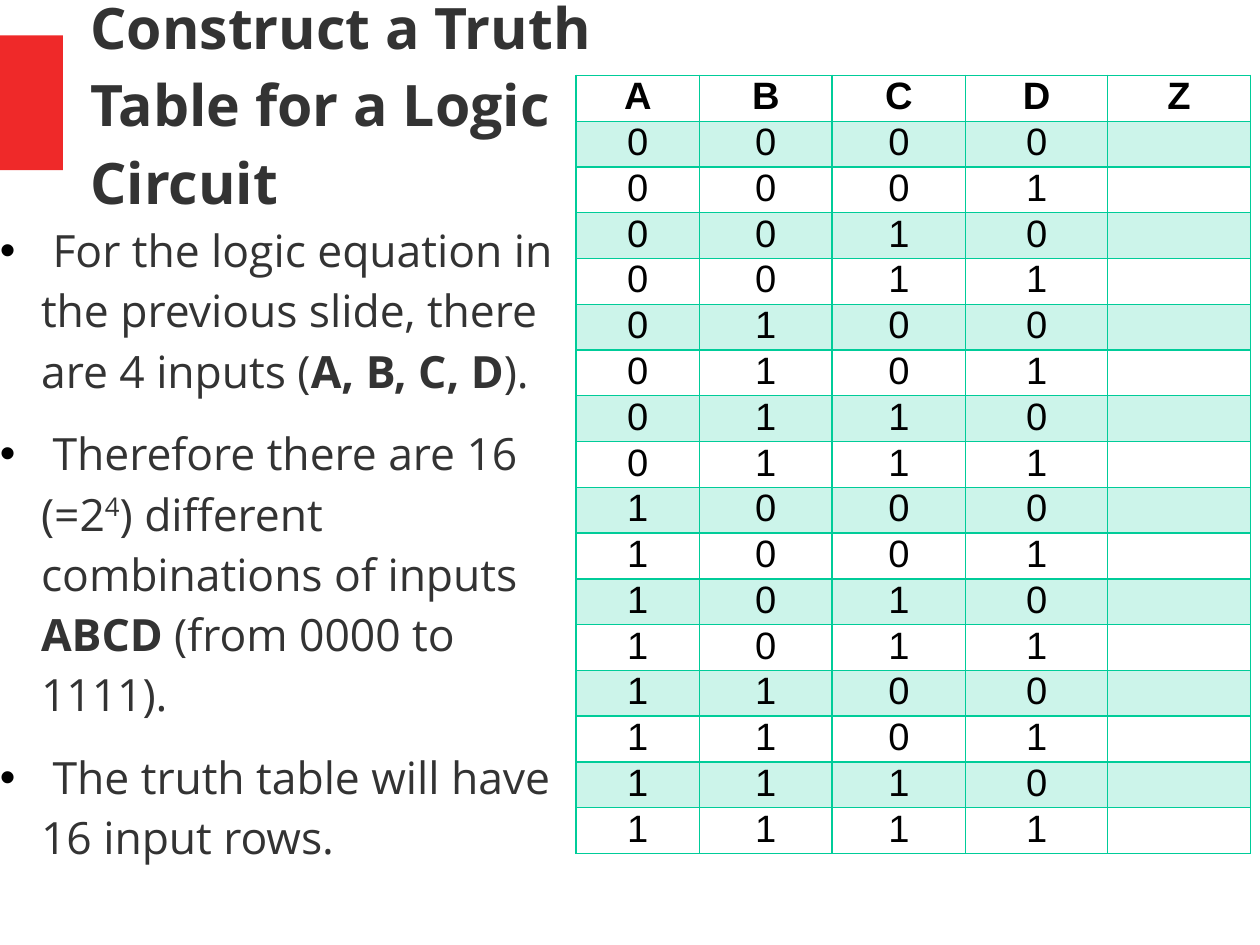
import itertools

import lxml.etree
import pptx
import pptx.dml.color
import pptx.enum.shapes
import pptx.enum.text
import pptx.oxml.ns
import pptx.util

Inches, Pt = pptx.util.Inches, pptx.util.Pt
qn = pptx.oxml.ns.qn

COLORS = {"accent": "EF2929", "text": "333333", "table_text": "000000",
          "bullet": "000000", "grid": "00CC99"}

TITLE = "Construct a Truth Table for a Logic Circuit"
# Each run is (words, style)
POINTS = [
    [(" For the logic equation in the previous slide, there are 4 inputs (", ""),
     ("A, B, C, D", "bold"), (").", "")],
    [(" Therefore there are 16 (=2", ""), ("4", "super"),
     (") different combinations of inputs ", ""), ("ABCD", "bold"),
     (" (from 0000 to 1111).", "")],
    [(" The truth table will have 16 input rows.", "")],
]
INPUTS = ["A", "B", "C", "D"]
OUTPUT = "Z"
TRUTH_ROWS = [INPUTS + [OUTPUT]] + [
    [*bits, ""] for bits in itertools.product("01", repeat=len(INPUTS))]

COLUMN_WIDTHS = [1.08, 1.16, 1.17, 1.24, 1.25]
ROW_HEIGHT = 0.39
TITLE_FONT = {"name": "Open Sans", "size": Pt(36), "bold": True}
POINT_FONT = {"name": "Open Sans", "size": Pt(28)}
CELL_FONT = {"name": "Arial", "size": Pt(24)}
NO_MARGINS = dict.fromkeys(
    ["margin_left", "margin_top", "margin_right", "margin_bottom"], 0)
CELL_MARGINS = {**NO_MARGINS, "margin_left": Inches(0.07), "margin_right": Inches(0.07)}
POINT_SPACING = {"line_spacing": 1.13, "space_after": Pt(14.1)}
CELL_SPACING = {"line_spacing": 1.0, "alignment": pptx.enum.text.PP_ALIGN.CENTER}


def apply(target, values):
    for name, value in values.items():
        setattr(target, name, value)


def rgb(color):
    return pptx.dml.color.RGBColor.from_string(COLORS[color])


def style_font(font, values, color):
    apply(font, values)
    font.color.rgb = rgb(color)


def add_text_frame(slide, left, top, width, height, anchor):
    box = slide.shapes.add_textbox(*map(Inches, (left, top, width, height)))
    apply(box.text_frame, {**NO_MARGINS, "word_wrap": True, "vertical_anchor": anchor})
    return box.text_frame


def add_bullet(paragraph):
    properties = paragraph._p.get_or_add_pPr()
    properties.set("marL", str(Inches(0.36)))
    properties.set("indent", str(-Inches(0.36)))
    bullet_color = lxml.etree.SubElement(properties, qn("a:buClr"))
    lxml.etree.SubElement(bullet_color, qn("a:srgbClr"), val=COLORS["bullet"])
    lxml.etree.SubElement(properties, qn("a:buFont"), typeface="Arial")
    lxml.etree.SubElement(properties, qn("a:buChar"), char="•")


def add_borders(cell):
    """Draw all four cell edges; they must precede the fill in the cell XML."""
    properties = cell._tc.get_or_add_tcPr()
    for position, edge in enumerate(["a:lnL", "a:lnR", "a:lnT", "a:lnB"]):
        line = lxml.etree.Element(qn(edge), w=str(Pt(1)))
        fill = lxml.etree.SubElement(line, qn("a:solidFill"))
        lxml.etree.SubElement(fill, qn("a:srgbClr"), val=COLORS["grid"])
        properties.insert(position, line)


def fill_band(cell):
    """Tint a cell with the grid colour at 20% opacity."""
    cell.fill.solid()
    cell.fill.fore_color.rgb = rgb("grid")
    tint = cell._tc.tcPr.find(".//" + qn("a:srgbClr"))
    lxml.etree.SubElement(tint, qn("a:alpha"), val="20000")


def add_accent(slide):
    accent = slide.shapes.add_shape(
        pptx.enum.shapes.MSO_SHAPE.RECTANGLE, *map(Inches, (0, 0.31, 0.55, 1.18)))
    accent.shadow.inherit = False
    accent.fill.solid()
    accent.fill.fore_color.rgb = rgb("accent")
    accent.line.fill.background()


def add_title(slide):
    frame = add_text_frame(slide, 0.79, 0.09, 4.65, 1.56,
                           pptx.enum.text.MSO_ANCHOR.MIDDLE)
    heading = frame.paragraphs[0]
    heading.line_spacing = 1.13
    run = heading.add_run()
    run.text = TITLE
    style_font(run.font, TITLE_FONT, "text")


def add_points(slide):
    frame = add_text_frame(slide, 0, 1.89, 5.04, 5.98, pptx.enum.text.MSO_ANCHOR.TOP)
    for index, point in enumerate(POINTS):
        paragraph = frame.add_paragraph() if index else frame.paragraphs[0]
        apply(paragraph, POINT_SPACING)
        add_bullet(paragraph)
        for words, style in point:
            run = paragraph.add_run()
            run.text = words
            style_font(run.font, {**POINT_FONT, "bold": style == "bold"}, "text")
            if style == "super":
                run._r.get_or_add_rPr().set("baseline", "33000")


def add_truth_table(slide):
    row_count = len(TRUTH_ROWS)
    table = slide.shapes.add_table(
        row_count, len(COLUMN_WIDTHS), Inches(5.04), Inches(0.66),
        Inches(sum(COLUMN_WIDTHS)), Inches(ROW_HEIGHT * row_count)).table
    apply(table, {"first_row": False, "horz_banding": False})
    for column, width in zip(table.columns, COLUMN_WIDTHS):
        column.width = Inches(width)
    for index, (row, values) in enumerate(zip(table.rows, TRUTH_ROWS)):
        row.height = Inches(ROW_HEIGHT)
        for cell, value in zip(row.cells, values):
            apply(cell, CELL_MARGINS)
            paragraph = cell.text_frame.paragraphs[0]
            apply(paragraph, CELL_SPACING)
            if value:
                run = paragraph.add_run()
                run.text = value
                style_font(run.font, {**CELL_FONT, "bold": index == 0}, "table_text")
            if index % 2:
                fill_band(cell)
            else:
                cell.fill.background()
            add_borders(cell)


def main():
    deck = pptx.Presentation()
    deck.slide_width = pptx.util.Cm(28)
    deck.slide_height = pptx.util.Cm(21)
    slide = deck.slides.add_slide(deck.slide_layouts[6])
    add_accent(slide)
    add_title(slide)
    add_points(slide)
    add_truth_table(slide)
    deck.save("out.pptx")


if __name__ == "__main__":
    main()
